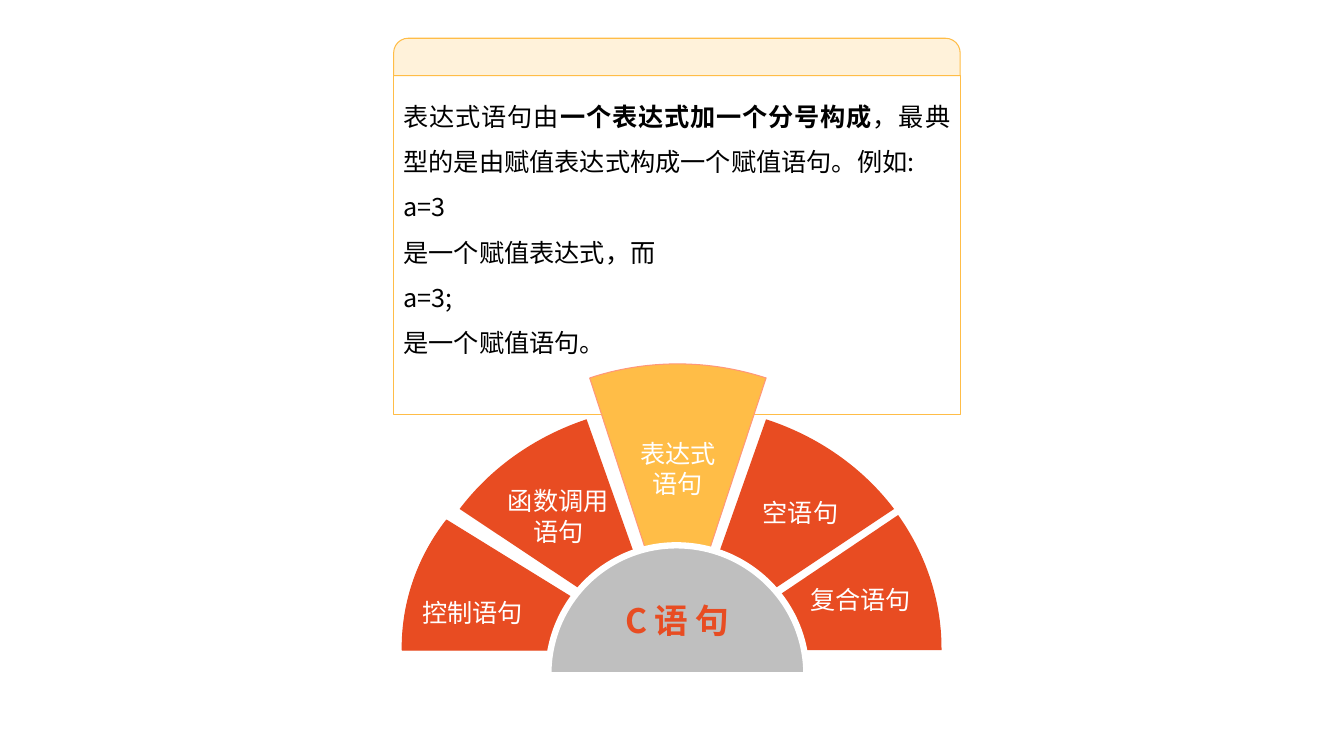
from dataclasses import dataclass
from typing import Optional

from lxml import etree
from pptx import Presentation
from pptx import util as u
from pptx.dml.color import RGBColor
from pptx.enum import shapes, text
from pptx.oxml.ns import qn

CELL = u.Inches(0.1)
FONT = "Noto Sans CJK SC"
ORANGE, AMBER, CREAM = "E84C22", "FFBD47", "FFF2DA"
WHITE, BLACK, GREY, PINK = "FFFFFF", "000000", "BFBFBF", "FF977A"

Point = tuple[float, float]
Curve = tuple[Point, Point, Point]


@dataclass
class Style:
    fill: str
    line: Optional[str] = None
    width: float = 0.75


@dataclass
class Label:
    lines: list[list[str]]
    insets: tuple[float, float, float, float]
    color: str = WHITE
    size: int = 18
    bold: bool = False
    align: text.PP_ALIGN = text.PP_ALIGN.CENTER
    anchor: text.MSO_ANCHOR = text.MSO_ANCHOR.MIDDLE
    spacing: float = 1.0


@dataclass
class Sector:
    start: Point
    arcs: list[Curve]
    corners: list[Point]
    style: Style
    label: Label


@dataclass
class Panel:
    kind: shapes.MSO_SHAPE
    top: float
    rows: float
    style: Style
    label: Optional[Label] = None


PANEL_LEFT, PANEL_COLUMNS = 39.05, 56.2

PARTS = [
    Sector((58.2, 41.6), [((53.1, 43.3), (48.7, 46.4), (45.6, 50.5))], [(66.2, 64.2)],
           Style(ORANGE), Label([["函数调用"], ["语句"]], (1, 0.5, 2, 3.9))),
    Panel(shapes.MSO_SHAPE.RECTANGLE, 7.5, 33.65, Style(WHITE, AMBER), Label(
        [["表达式语句由", "一个表达式加一个分号构成", "，最典型的是由赋值表达式构成一个赋值语句。例如: "],
         ["a=3"], ["是一个赋值表达式，而"], ["a=3;"], ["是一个赋值语句。"]],
        (1, 1, 1, 1), BLACK, align=text.PP_ALIGN.JUSTIFY,
        anchor=text.MSO_ANCHOR.TOP, spacing=1.5)),
    Panel(shapes.MSO_SHAPE.ROUND_2_SAME_RECTANGLE, 3.8, 3.7, Style(CREAM, AMBER)),
    Sector((44.3, 51.6), [((41.5, 55.2), (39.9, 59.6), (39.9, 64.3))],
           [(39.9, 64.5), (65.2, 64.5)], Style(ORANGE, ORANGE),
           Label([["控制语句"]], (2, 5.9, 1, 0.5), align=text.PP_ALIGN.JUSTIFY)),
    Sector((76, 37.5), [((73.2, 36.6), (70.3, 36.1), (67.2, 36.1)),
                        ((64.2, 36.1), (61.2, 36.6), (58.5, 37.5))], [(67.2, 64.2)],
           Style(AMBER, PINK), Label([["表达式"], ["语句"]], (1, 0.5, 1, 7.9))),
    Sector((88.7, 50.5), [((85.6, 46.4), (81.2, 43.3), (76, 41.6))], [(68, 64.3)],
           Style(ORANGE), Label([["空语句"]], (3.1, 0.5, 1, 4.7))),
    Sector((93.4, 64.3), [((93.4, 59.5), (91.8, 54.9), (89.1, 51.1))],
           [(69.2, 64.5), (93.4, 64.5)], Style(ORANGE),
           Label([["复合语句"]], (9.1, 3.9, 1, 0.5))),
    Sector((80, 66.9), [((80, 59.8), (74.2, 54.1), (67.1, 54.1)),
                        ((60.1, 54.1), (54.4, 59.8), (54.4, 66.9))],
           [(54.4, 67), (80, 67)], Style(GREY, WHITE, 4.5),
           Label([["C 语 句"]], (0, 2, 0, 0), ORANGE, 24, True)),
]


def cells(count: float) -> u.Emu:
    return u.Emu(round(count * CELL))


def color(value: str) -> RGBColor:
    return RGBColor.from_string(value)


def paint(shape, style: Style) -> None:
    shape.shadow.inherit = False
    shape.fill.solid()
    shape.fill.fore_color.rgb = color(style.fill)
    if style.line is None:
        shape.line.fill.background()
    else:
        shape.line.color.rgb = color(style.line)
        shape.line.width = u.Pt(style.width)


def write(shape, label: Label) -> None:
    frame = shape.text_frame
    frame.word_wrap = True
    frame.vertical_anchor = label.anchor
    (frame.margin_left, frame.margin_top,
     frame.margin_right, frame.margin_bottom) = map(cells, label.insets)
    for index, line in enumerate(label.lines):
        para = frame.add_paragraph() if index else frame.paragraphs[0]
        para.alignment = label.align
        para.line_spacing = label.spacing
        para.font.size = u.Pt(label.size)
        para.font.bold = label.bold
        para.font.color.rgb = color(label.color)
        para.font.name = FONT
        defaults = para._p.pPr.find(qn("a:defRPr"))
        etree.SubElement(defaults, qn("a:ea")).set("typeface", FONT)
        for position, words in enumerate(line):
            span = para.add_run()
            span.text = words
            if position % 2:
                span.font.bold = True


def bend(shape, arc_count: int) -> None:
    segments = list(shape._element.iter(qn("a:lnTo")))
    for first in range(0, 3 * arc_count, 3):
        curve = etree.Element(qn("a:cubicBezTo"))
        segments[first].addprevious(curve)
        for segment in segments[first:first + 3]:
            curve.append(segment[0])
            segment.getparent().remove(segment)


def draw_sector(page, sector: Sector) -> None:
    outline = [sector.start]
    for arc in sector.arcs:
        outline += arc
    outline += sector.corners
    points = [(cells(x), cells(y)) for x, y in outline]
    builder = page.shapes.build_freeform(*points[0])
    builder.add_line_segments(points[1:], close=True)
    shape = builder.convert_to_shape()
    bend(shape, len(sector.arcs))
    paint(shape, sector.style)
    write(shape, sector.label)


def draw_panel(page, panel: Panel) -> None:
    box = page.shapes.add_shape(panel.kind, cells(PANEL_LEFT), cells(panel.top),
                                cells(PANEL_COLUMNS), cells(panel.rows))
    paint(box, panel.style)
    if panel.kind == shapes.MSO_SHAPE.ROUND_2_SAME_RECTANGLE:
        box.adjustments[0] = 0.39
    if panel.label:
        write(box, panel.label)


def main() -> None:
    deck = Presentation()
    deck.slide_width, deck.slide_height = cells(133.33), cells(75)
    page = deck.slides.add_slide(deck.slide_layouts[6])
    for part in PARTS:
        if isinstance(part, Panel):
            draw_panel(page, part)
        else:
            draw_sector(page, part)
    deck.save("out.pptx")


if __name__ == "__main__":
    main()
